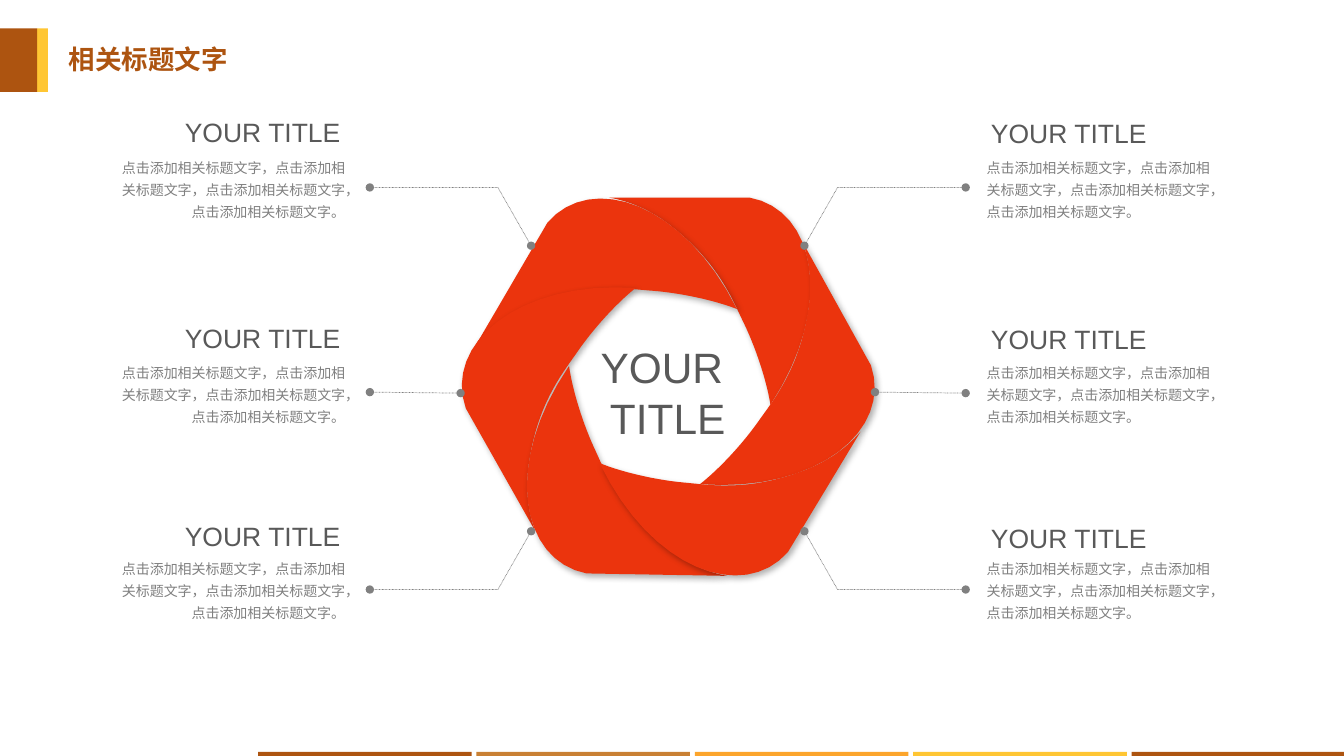
from lxml.etree import SubElement
from pptx import Presentation
from pptx.dml.color import RGBColor
from pptx.enum.dml import MSO_LINE
from pptx.enum.shapes import MSO_CONNECTOR, MSO_SHAPE
from pptx.enum.text import MSO_ANCHOR, PP_ALIGN
from pptx.oxml.ns import qn
from pptx.util import Pt

LEFT, CENTER, RIGHT = PP_ALIGN.LEFT, PP_ALIGN.CENTER, PP_ALIGN.RIGHT
TOP, MIDDLE = MSO_ANCHOR.TOP, MSO_ANCHOR.MIDDLE
RECTANGLE, STRAIGHT = MSO_SHAPE.RECTANGLE, MSO_CONNECTOR.STRAIGHT
DOTTED = MSO_LINE.ROUND_DOT


class Theme:
    font = "Arial"
    brown, tan, orange, yellow = "AD5410", "C98033", "FCA52C", "FFC633"
    blade, heading, muted = "EB340D", "595959", "808080"
    heading_size, body_size, hub_size = 18.9, 10, 30.3


# Content
TITLE = "相关标题文字"
HUB = ["YOUR ", "TITLE"]
HEADING = "YOUR TITLE"
BODY = "点击添加相关标题文字，点击添加相关标题文字，点击添加相关标题文字，点击添加相关标题文字。"

# Each column: align, heading left and width, heading tops, body left and width
COLUMNS = [
    (RIGHT, (87.8, 165.6), (77.8, 225.4, 366.5), (74.2, 179.3)),
    (LEFT, (697.7, 190), (78.5, 226.1, 367.9), (697.7, 176.4)),
]
BODY_TOPS = (106.6, 253.4, 393.1)

# Blade outline: start, then cubic curves as (control, control, end)
BLADE_START = (0, 0)
BLADE_CURVES = [
    ((33.6, 0), (67.2, 0), (100.8, 0)),
    ((148.3, 8.6), (162.7, 77), (115.9, 148.3)),
    ((114.5, 139), (109.4, 117.4), (98.6, 93.6)),
    ((96.2, 88.6), (93.8, 83.5), (91.4, 78.5)),
    ((79.9, 54), (65.5, 37.4), (49, 23.8)),
    ((33.8, 10.8), (17.3, 2.9), (0, 0)),
]
# Blades from back to front: turn, left, top
BLADES = [
    (0, 434.9, 141.1), (300.3, 368.6, 146.9), (240.5, 339.1, 205.9),
    (181, 376.6, 262.1), (61, 471.6, 198), (121.1, 442.1, 257.8),
]

# Leaders: the upper left elbow is mirrored about both axes
ELBOW = [(379.4, 175.5), (355.7, 133.9), (264.2, 133.9)]
MIRROR_X, MIRROR_Y = 954, 555
STRAIGHT_LEADERS = [(329, 264.2), (689.8, 625)]
LEADER_YS = (280.1, 280.8)

# Rectangles: left, top, width, height, colour
STRIPE_COLOURS = [Theme.brown, Theme.tan, Theme.orange, Theme.yellow, Theme.brown]
RECTANGLES = [(26.6, 20.2, 7.6, 45.4, Theme.yellow), (0, 20.2, 26.6, 45.4, Theme.brown)]
RECTANGLES += [(184.3 + 156 * i, 537, 152.6, 3.6, colour)
               for i, colour in enumerate(STRIPE_COLOURS)]


def rgb(colour):
    return RGBColor.from_string(colour)


def place(item, left, top, width, height):
    frame = {"left": left, "top": top, "width": width, "height": height}
    for name, value in frame.items():
        setattr(item, name, Pt(value))


def write(box, lines, size, colour, align=LEFT, anchor=TOP, wrap=True,
          inset=(7.2, 3.6), spacing=None, bold=False):
    text = box.text_frame
    across, down = map(Pt, inset)
    settings = {"word_wrap": wrap, "vertical_anchor": anchor, "margin_left": across,
                "margin_right": across, "margin_top": down, "margin_bottom": down}
    for name, value in settings.items():
        setattr(text, name, value)
    text.text = "\n".join(lines)
    for para in text.paragraphs:
        para.alignment, para.line_spacing = align, spacing
        for span in para.runs:
            for name, value in {"name": Theme.font, "size": Pt(size), "bold": bold}.items():
                setattr(span.font, name, value)
            span.font.color.rgb = rgb(colour)


def add_text(page, frame, lines, size, colour, **options):
    box = page.shapes.add_textbox(*map(Pt, frame))
    write(box, lines, size, colour, **options)


def paint(shape, colour):
    shape.shadow.inherit = False
    shape.fill.solid()
    shape.fill.fore_color.rgb = rgb(colour)
    shape.line.fill.background()


def curve_points(start, curves, steps=16):
    points = [start]
    for first, second, end in curves:
        origin = points[-1]
        for step in range(1, steps + 1):
            t = step / steps
            weights = ((1 - t) ** 3, 3 * t * (1 - t) ** 2, 3 * t * t * (1 - t), t ** 3)
            corners = (origin, first, second, end)
            points.append(tuple(sum(w * c[axis] for w, c in zip(weights, corners))
                                for axis in (0, 1)))
    return points


def add_outline(page, points, close):
    start, *rest = [(Pt(x), Pt(y)) for x, y in points]
    builder = page.shapes.build_freeform(*start)
    builder.add_line_segments(rest, close=close)
    shape = builder.convert_to_shape()
    shape.shadow.inherit = False
    return shape


def add_blade(page, turn, left, top):
    blade = add_outline(page, curve_points(BLADE_START, BLADE_CURVES), True)
    place(blade, left, top, 144, 148)
    blade.rotation = turn
    paint(blade, Theme.blade)
    effects = blade.element.spPr.find(qn("a:effectLst"))
    shadow = SubElement(effects, qn("a:outerShdw"), blurRad=str(Pt(4.5)),
                        dist=str(Pt(2.6)), dir=str(53 * 60000), rotWithShape="0")
    black = SubElement(shadow, qn("a:srgbClr"), val="000000")
    SubElement(black, qn("a:alpha"), val="30000")


def style_leader(leader):
    line = leader.line
    line.color.rgb = rgb(Theme.muted)
    line.width, line.dash_style = Pt(0.5), DOTTED
    for end in ("a:headEnd", "a:tailEnd"):
        SubElement(leader.element.spPr.find(qn("a:ln")), qn(end), type="oval")


def main():
    deck = Presentation()
    deck.slide_width, deck.slide_height = Pt(960), Pt(540)
    page = deck.slides.add_slide(deck.slide_layouts[5])

    # Title
    place(page.shapes.title, 41.8, 27.4, 141.8, 30.2)
    write(page.shapes.title, [TITLE], Theme.heading_size, Theme.brown, bold=True)

    # Ring of blades and its hub
    for blade in BLADES:
        add_blade(page, *blade)
    add_text(page, (421.2, 239.8, 111.6, 80.6), HUB, Theme.hub_size, Theme.heading,
             align=CENTER, wrap=False)

    # Leaders
    for flip_x in (False, True):
        for flip_y in (False, True):
            points = [(MIRROR_X - x if flip_x else x, MIRROR_Y - y if flip_y else y)
                      for x, y in ELBOW]
            elbow = add_outline(page, points, False)
            elbow.fill.background()
            style_leader(elbow)
    for start, end in STRAIGHT_LEADERS:
        leader = page.shapes.add_connector(
            STRAIGHT, Pt(end), Pt(LEADER_YS[0]), Pt(start), Pt(LEADER_YS[1]))
        style_leader(leader)
        SubElement(leader.element.spPr, qn("a:effectLst"))

    # Headings and body texts
    for align, (left, width), tops, (body_left, body_width) in COLUMNS:
        for top, body_top in zip(tops, BODY_TOPS):
            add_text(page, (left, top, width, 33.1), [HEADING], Theme.heading_size,
                     Theme.heading, align=align, inset=(10.1, 5))
            add_text(page, (body_left, body_top, body_width, 54), [BODY], Theme.body_size,
                     Theme.muted, align=align, anchor=MIDDLE, spacing=1.3)

    # Title marker and bottom stripes
    for *frame, colour in RECTANGLES:
        paint(page.shapes.add_shape(RECTANGLE, *map(Pt, frame)), colour)

    deck.save("out.pptx")


if __name__ == "__main__":
    main()
